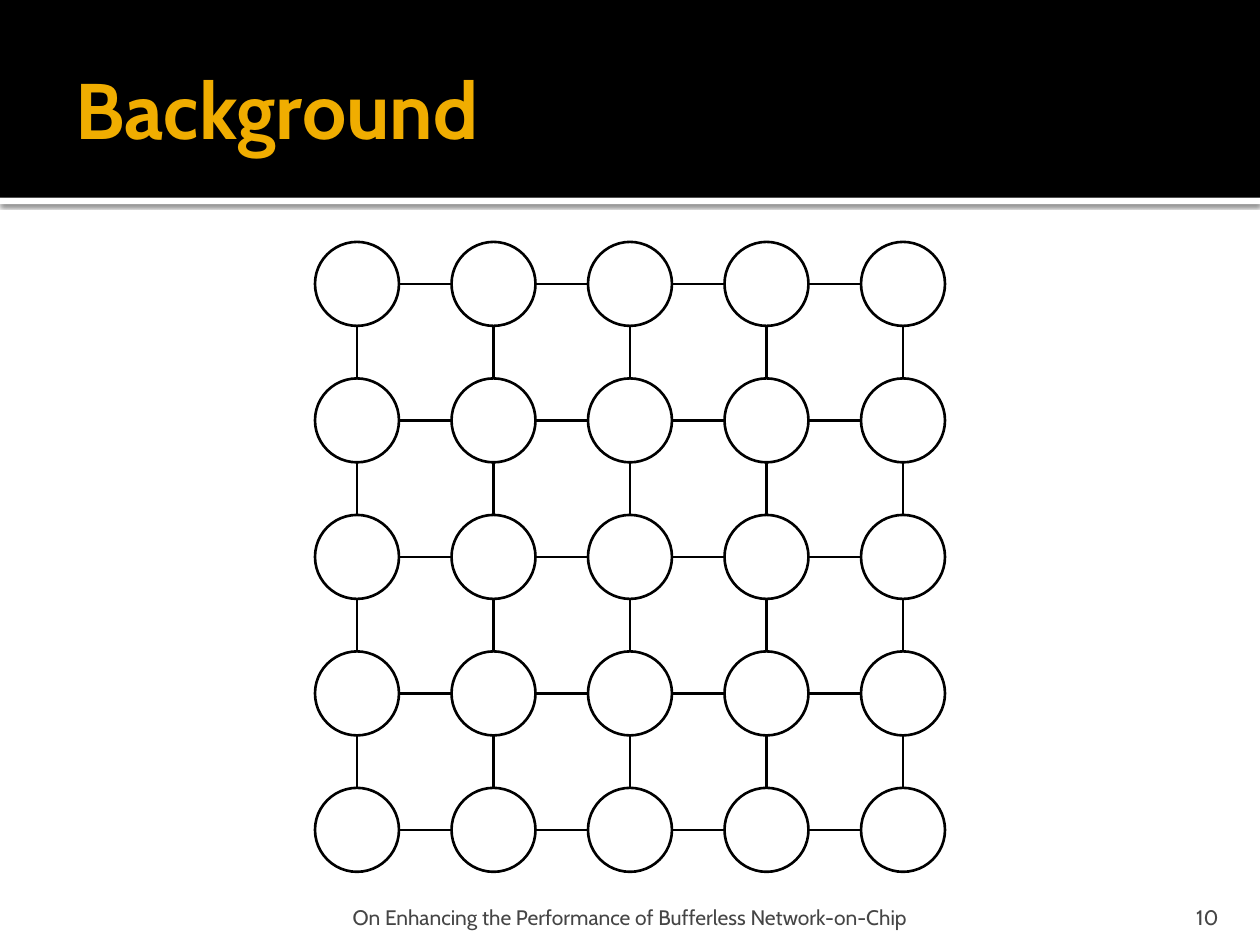
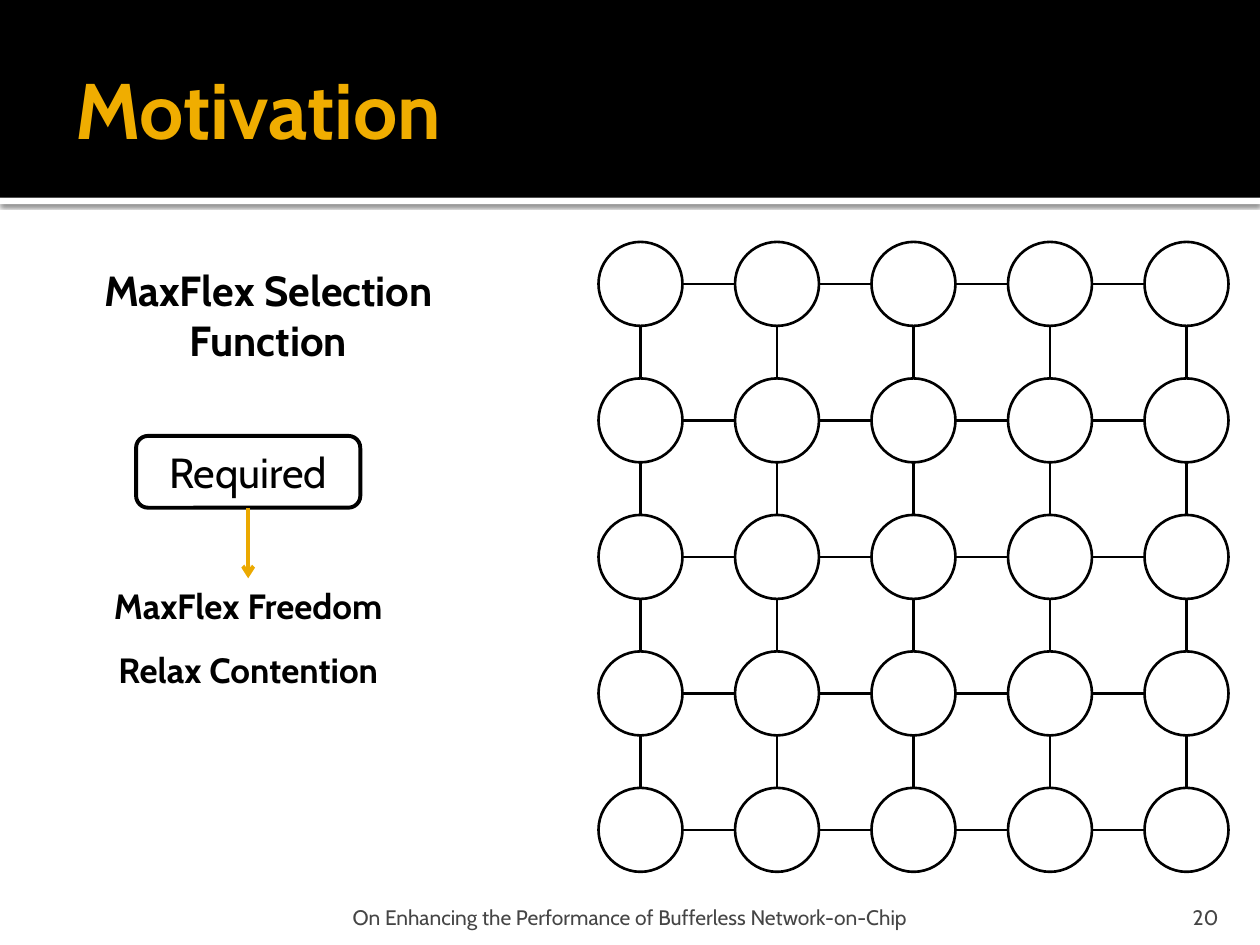
from lxml.etree import SubElement
from pptx import Presentation
from pptx.dml.color import RGBColor
from pptx.enum.shapes import MSO_CONNECTOR, MSO_SHAPE
from pptx.enum.text import MSO_ANCHOR, MSO_AUTO_SIZE, PP_ALIGN
from pptx.oxml.ns import qn
from pptx.util import Inches, Pt

FONT = "Cabin"
BLACK, WHITE, GREY = "000000", "FFFFFF", "454545"
GOLD, ARROW_GOLD = "F0AD00", "EBA900"
FOOTER = "On Enhancing the Performance of Bufferless Network-on-Chip"
NODES_PER_SIDE = 5
NODE_TO_MESH = 2 / 15


def rgb(hex_colour):
    """Turn a hex string into a colour."""
    return RGBColor.from_string(hex_colour)


def write(holder, text, size, colour=BLACK, bold=False, align=PP_ALIGN.CENTER,
          anchor=MSO_ANCHOR.MIDDLE, insets=(0.1, 0.05, 0.1, 0.05), wrap=True):
    """Put one styled paragraph into a shape or text box."""
    frame = holder.text_frame
    frame.word_wrap = wrap
    frame.vertical_anchor = anchor
    (frame.margin_left, frame.margin_top,
     frame.margin_right, frame.margin_bottom) = map(Inches, insets)
    paragraph = frame.paragraphs[0]
    paragraph.text = text
    paragraph.alignment = align
    font = paragraph.font
    font.name, font.size, font.bold = FONT, Pt(size), bold
    font.color.rgb = rgb(colour)


def add_text(slide, box, text, size, **style):
    """Add a text box at box (left, top, width, height)."""
    label = slide.shapes.add_textbox(*map(Inches, box))
    write(label, text, size, **style)
    return label


def add_panel(slide, kind, box, fill=WHITE, line_width=None):
    """Add a flat preset shape, outlined in black if a width is given."""
    panel = slide.shapes.add_shape(kind, *map(Inches, box))
    panel.shadow.inherit = False
    panel.fill.solid()
    panel.fill.fore_color.rgb = rgb(fill)
    if line_width:
        panel.line.color.rgb = rgb(BLACK)
        panel.line.width = Pt(line_width)
    else:
        panel.line.fill.background()
    return panel


def add_line(slide, start, end, colour=BLACK, width=1.5):
    """Add a straight connector without a shadow."""
    line = slide.shapes.add_connector(
        MSO_CONNECTOR.STRAIGHT, *map(Inches, (*start, *end)))
    line.line.color.rgb = rgb(colour)
    line.line.width = Pt(width)
    SubElement(line._element.spPr, qn("a:effectLst"))
    return line


def add_header(slide, title, box):
    """Draw the black title band with its shadowed white edge."""
    left, top, width, height = box
    edge = add_panel(slide, MSO_SHAPE.RECTANGLE, (left, top + height, width, 0.05))
    effects = edge._element.spPr.find(qn("a:effectLst"))
    shadow = SubElement(effects, qn("a:outerShdw"), blurRad=str(Pt(2.5)),
                        dist=str(Pt(0.8)), dir="5400000", algn="tl", rotWithShape="0")
    shade = SubElement(shadow, qn("a:srgbClr"), val=BLACK)
    SubElement(shade, qn("a:alpha"), val="60000")
    add_panel(slide, MSO_SHAPE.RECTANGLE, box, BLACK)
    add_text(slide, (left + 0.5, top + 0.17, width - 1, height - 0.2), title, 45,
             colour=GOLD, bold=True, align=PP_ALIGN.LEFT,
             insets=(0.1, 0.05, 0.05, 0.05))


def add_footer(slide, number, box):
    """Write the talk title and the slide number in the bottom strip."""
    left, top, width, height = box
    add_text(slide, (left + 1.99, top, width - 3.98, height), FOOTER, 12, colour=GREY,
             anchor=MSO_ANCHOR.BOTTOM, insets=(0.05, 0.05, 0.05, 0))
    add_text(slide, (left + width - 1.03, top, 0.8, height), str(number), 12,
             colour=GREY, align=PP_ALIGN.RIGHT, anchor=MSO_ANCHOR.BOTTOM,
             insets=(0.1, 0.05, 0.1, 0))


def add_mesh(slide, left, top, side):
    """Draw a square mesh of routers, each linked to its neighbours."""
    node = side * NODE_TO_MESH
    pitch = (side - node) / (NODES_PER_SIDE - 1)
    for row in range(NODES_PER_SIDE):
        for column in range(NODES_PER_SIDE):
            x, y = left + column * pitch, top + row * pitch
            middle_x, middle_y = x + node / 2, y + node / 2
            add_panel(slide, MSO_SHAPE.OVAL, (x, y, node, node), line_width=1.5)
            if column < NODES_PER_SIDE - 1:
                add_line(slide, (x + node, middle_y), (x + pitch, middle_y))
            if row < NODES_PER_SIDE - 1:
                add_line(slide, (middle_x, y + node), (middle_x, y + pitch))


def add_selection_function(slide, left, top, width):
    """Explain what the MaxFlex selection function requires."""
    centre = left + 1.55
    add_text(slide, (left, top, width, 0.91), "MaxFlex Selection Function", 24,
             bold=True, anchor=MSO_ANCHOR.TOP)
    required = add_panel(slide, MSO_SHAPE.ROUNDED_RECTANGLE,
                         (centre - 0.89, top + 1.41, 1.78, 0.57), line_width=2.25)
    write(required, "Required", 24)
    goals = []
    for index, (goal, goal_width) in enumerate(
            [("MaxFlex Freedom", 2.37), ("Relax Contention", 2.29)]):
        label = add_text(
            slide, (centre - goal_width / 2, top + 2.54 + index * 0.51, goal_width, 0.44),
            goal, 20, bold=True, anchor=MSO_ANCHOR.TOP, wrap=False)
        label.text_frame.auto_size = MSO_AUTO_SIZE.SHAPE_TO_FIT_TEXT
        goals.append(label)
    arrow = add_line(slide, (centre, top + 1.98), (centre, top + 2.54), ARROW_GOLD, 2.25)
    arrow.begin_connect(required, 2)
    arrow.end_connect(goals[0], 0)
    SubElement(arrow.line._get_or_add_ln(), qn("a:tailEnd"), type="arrow")


def add_mesh_slide(deck, title, number, mesh_left):
    """Add a slide with header, footer and router mesh."""
    slide = deck.slides.add_slide(deck.slide_layouts[6])
    add_header(slide, title, (0, 0, 10, 1.57))
    add_footer(slide, number, (0, 7.08, 10, 0.3))
    add_mesh(slide, mesh_left, 1.92, 5)
    return slide


def main():
    """Build and save the deck."""
    deck = Presentation()
    deck.slide_width, deck.slide_height = Inches(10), Inches(7.5)
    add_mesh_slide(deck, "Background", 10, 2.5)
    motivation = add_mesh_slide(deck, "Motivation", 20, 4.75)
    add_selection_function(motivation, 0.42, 2.05, 3.42)
    deck.save("out.pptx")


if __name__ == "__main__":
    main()
